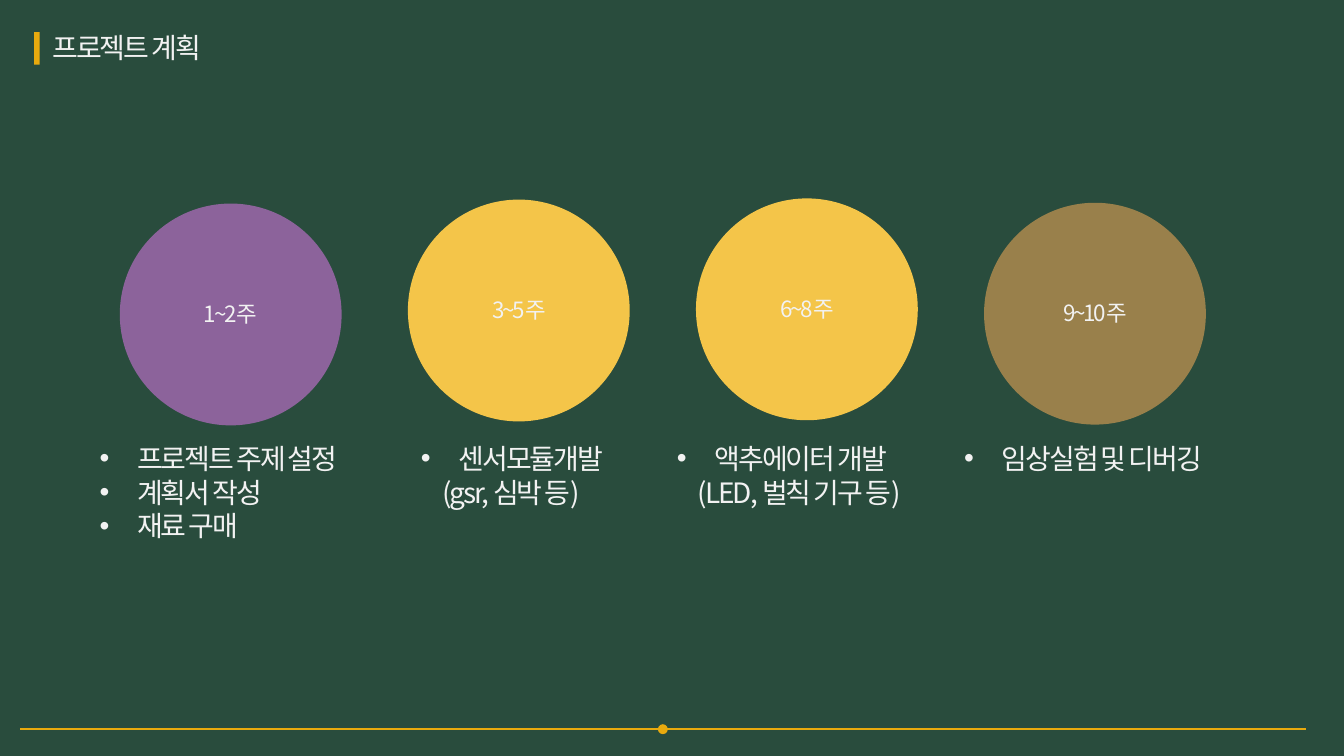
"""Build the project schedule slide with four week circles."""
import pptx
import pptx.dml.color
import pptx.enum.shapes
import pptx.enum.text
import pptx.oxml.ns
import pptx.util
from lxml import etree

Cm = pptx.util.Cm
RGBColor = pptx.dml.color.RGBColor
SHAPE = pptx.enum.shapes.MSO_SHAPE
qn = pptx.oxml.ns.qn

GREEN = RGBColor(0x29, 0x4C, 0x3D)
GOLD = RGBColor(0xE8, 0xAA, 0x0E)
PURPLE = RGBColor(0x8C, 0x63, 0x9B)
YELLOW = RGBColor(0xF4, 0xC5, 0x49)
BROWN = RGBColor(0x99, 0x80, 0x4B)
PALE = RGBColor(0xF2, 0xF2, 0xF2)
FONT = "Noto Sans CJK KR"

CIRCLE_LEFT, CIRCLE_PITCH, CIRCLE_SIZE = 3.02, 7.26, 5.59
LABEL_DROP, NOTE_TOP, LINE_HEIGHT = 2.31, 11, 0.85

WEEKS = [
    ("1~2주", PURPLE, 5.13, 1.98),
    ("3~5주", YELLOW, 5.03, 1.98),
    ("6~8주", YELLOW, 5.0, 1.98),
    ("9~10주", BROWN, 5.11, 2.26),
]
NOTES = [
    (2.26, 7.11, ["프로젝트 주제 설정", "계획서 작성", "재료 구매"], None),
    (10.36, 5.44, ["센서모듈개발"], "(gsr, 심박 등)"),
    (16.81, 7.06, ["액추에이터 개발"], "(LED, 벌칙 기구 등)"),
    (24.05, 7.11, ["임상실험 및 디버깅"], None),
]


def add_solid(shapes, preset, left, top, width, height, color):
    """Add a filled shape without outline or shadow."""
    solid = shapes.add_shape(preset, Cm(left), Cm(top), Cm(width), Cm(height))
    solid.shadow.inherit = False
    solid.fill.solid()
    solid.fill.fore_color.rgb = color
    solid.line.fill.background()


def add_line(shapes, start, end, y):
    """Add a horizontal gold line."""
    line = shapes.add_connector(
        pptx.enum.shapes.MSO_CONNECTOR.STRAIGHT, Cm(start), Cm(y), Cm(end), Cm(y))
    line.line.color.rgb = GOLD
    line.line.width = pptx.util.Pt(1.5)
    etree.SubElement(line._element.spPr, qn("a:effectLst"))


def add_text(shapes, left, top, width, height, text, size):
    """Add tightly spaced pale text and return its paragraphs."""
    box = shapes.add_textbox(Cm(left), Cm(top), Cm(width), Cm(height))
    frame = box.text_frame
    frame.word_wrap = False
    frame.auto_size = pptx.enum.text.MSO_AUTO_SIZE.SHAPE_TO_FIT_TEXT
    frame.text = text
    for paragraph in frame.paragraphs:
        for run in paragraph.runs:
            run.font.size = pptx.util.Pt(size)
            run.font.name = FONT
            run.font.color.rgb = PALE
            properties = run._r.get_or_add_rPr()
            properties.set("spc", "-150")
            etree.SubElement(properties, qn("a:ea")).set("typeface", FONT)
    return frame.paragraphs


def indent(paragraph, margin, bullet=False):
    """Indent a paragraph, hanging a bullet in the margin if wanted."""
    properties = paragraph._p.get_or_add_pPr()
    properties.set("marL", str(Cm(margin)))
    if bullet:
        properties.set("indent", str(-Cm(margin)))
        etree.SubElement(properties, qn("a:buFont")).set("typeface", "Arial")
        etree.SubElement(properties, qn("a:buChar")).set("char", "•")


def add_week(slide, index, label, color, top, label_width):
    """Add one week circle with its centred label."""
    week = slide.shapes.add_group_shape().shapes
    left = CIRCLE_LEFT + index * CIRCLE_PITCH
    add_solid(week, SHAPE.OVAL, left, top, CIRCLE_SIZE, CIRCLE_SIZE, color)
    label_left = left + (CIRCLE_SIZE - label_width) / 2
    for paragraph in add_text(week, label_left, top + LABEL_DROP, label_width, 0.94, label, 16):
        paragraph.alignment = pptx.enum.text.PP_ALIGN.CENTER


def add_note(slide, left, width, tasks, detail):
    """Add bulleted tasks and an optional indented detail line."""
    lines = tasks + ([detail] if detail else [])
    height = 0.27 + LINE_HEIGHT * len(lines)
    paragraphs = add_text(slide.shapes, left, NOTE_TOP, width, height, "\n".join(lines), 20)
    for number, paragraph in enumerate(paragraphs):
        if number < len(tasks):
            indent(paragraph, 0.95, bullet=True)
        else:
            indent(paragraph, 0.53)


def main():
    """Build and save the slide."""
    deck = pptx.Presentation()
    deck.slide_width, deck.slide_height = Cm(33.87), Cm(19.05)
    slide = deck.slides.add_slide(deck.slide_layouts[6])
    slide.background.fill.solid()
    slide.background.fill.fore_color.rgb = GREEN

    add_text(slide.shapes, 1.07, 0.64, 4.65, 1.11, "프로젝트 계획", 20)
    add_solid(slide.shapes, SHAPE.RECTANGLE, 0.86, 0.81, 0.14, 0.82, GOLD)
    footer = slide.shapes.add_group_shape().shapes
    add_line(footer, 0.51, 16.71, 18.38)
    add_line(footer, 16.71, 32.91, 18.38)
    add_solid(slide.shapes, SHAPE.OVAL, 16.58, 18.25, 0.25, 0.25, GOLD)

    for index, week in enumerate(WEEKS):
        add_week(slide, index, *week)
    for note in NOTES:
        add_note(slide, *note)
    deck.save("out.pptx")


if __name__ == "__main__":
    main()
